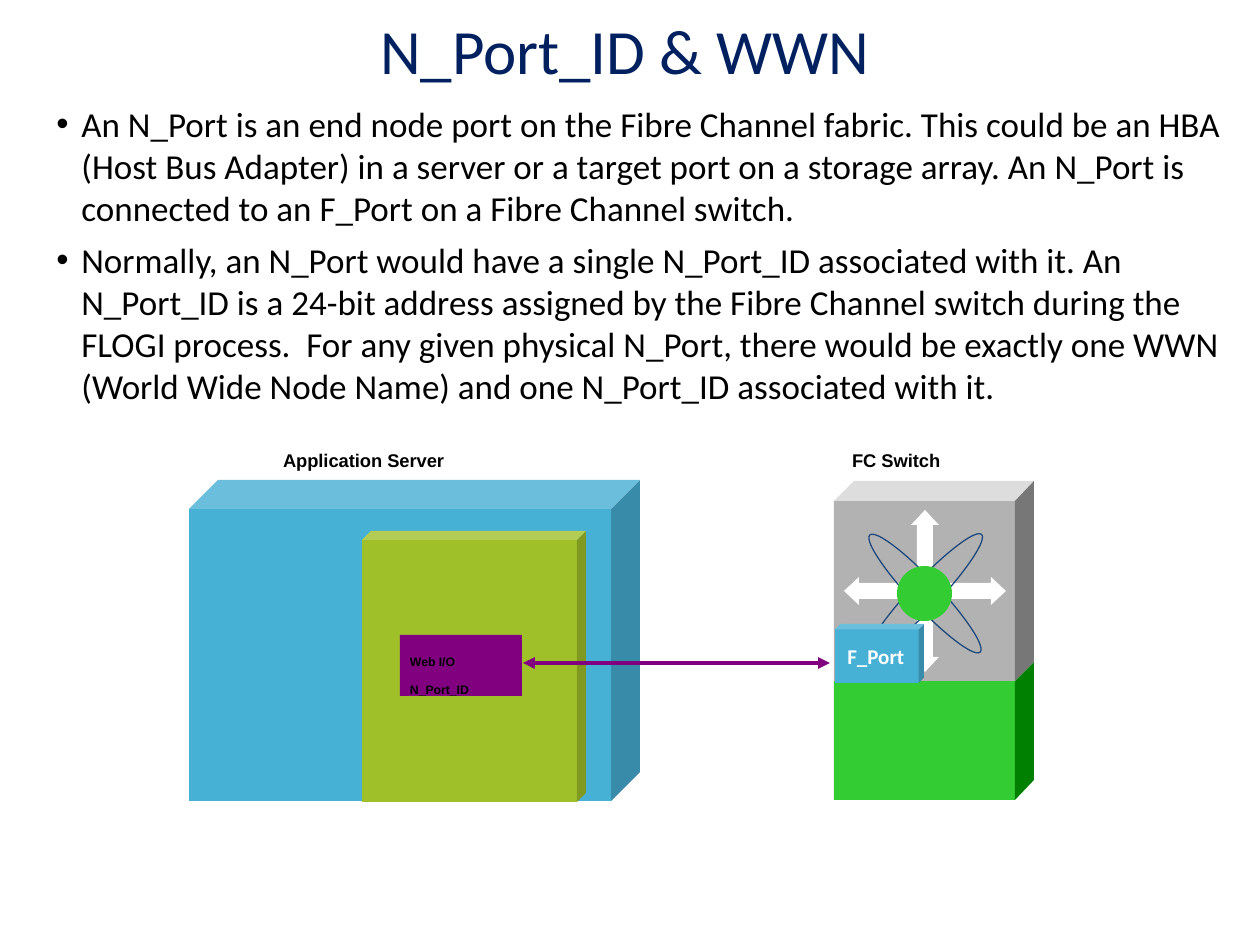
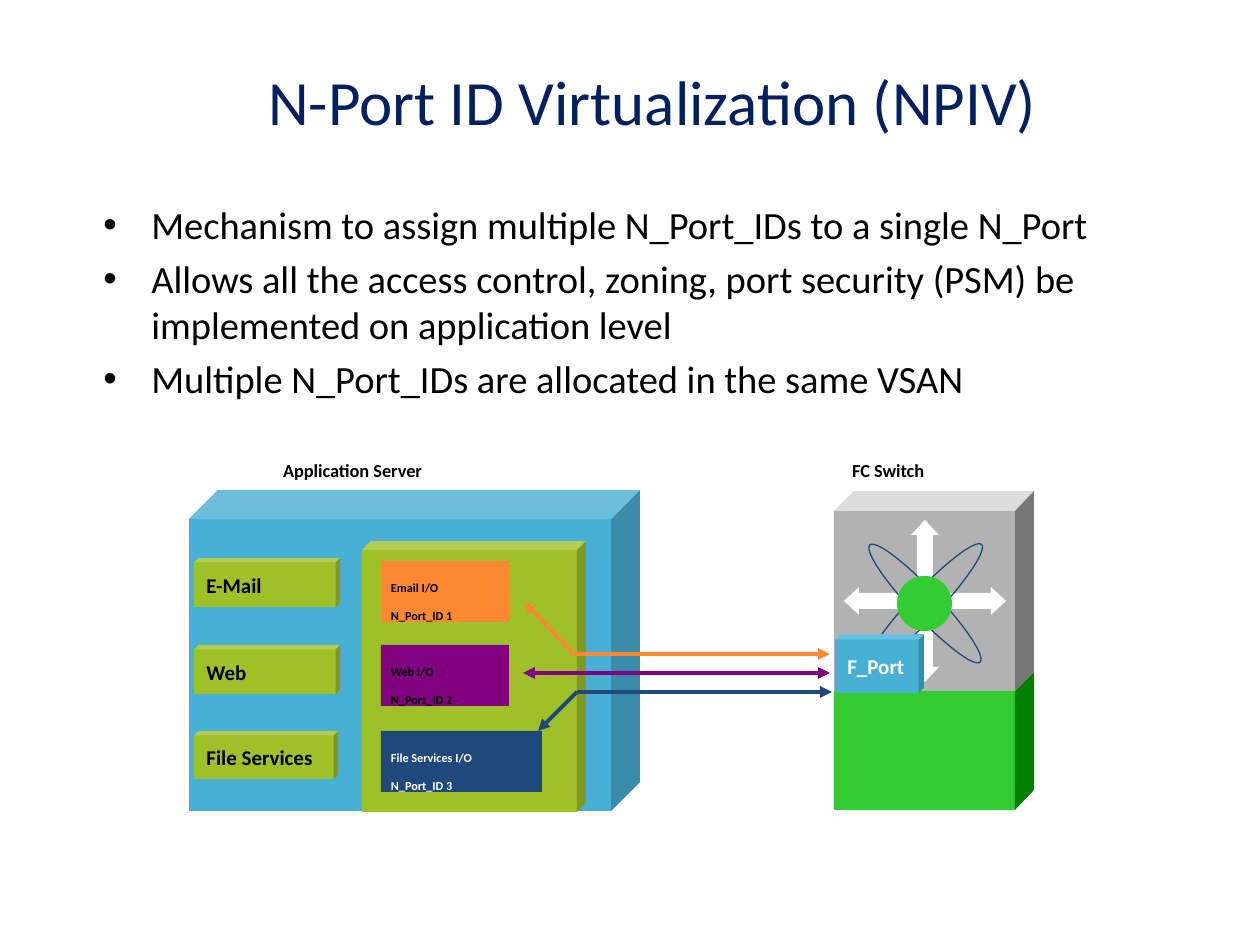
from lxml.etree import SubElement
from pptx import Presentation
from pptx.dml.color import RGBColor
from pptx.enum.shapes import MSO_CONNECTOR, MSO_SHAPE
from pptx.enum.text import MSO_ANCHOR as ANCHOR, PP_ALIGN as ALIGN
from pptx.oxml.ns import qn
from pptx.util import Emu, Pt

PX = 914400 / 126  # EMU in one px
NAVY = RGBColor(0x00, 0x20, 0x60)
BLACK = RGBColor(0x00, 0x00, 0x00)
WHITE = RGBColor(0xFF, 0xFF, 0xFF)
SKY = RGBColor(0x47, 0xB0, 0xD5)
OLIVE = RGBColor(0xA0, 0xC0, 0x2A)
PURPLE = RGBColor(0x80, 0x00, 0x80)
ORANGE = RGBColor(0xFC, 0x89, 0x32)
BLUE = RGBColor(0x1F, 0x49, 0x7D)
GREEN = RGBColor(0x33, 0xCC, 0x33)
DARK_GREEN = RGBColor(0x00, 0x80, 0x00)
LIGHT_GREY = RGBColor(0xDD, 0xDD, 0xDD)
GREY = RGBColor(0xB2, 0xB2, 0xB2)
DARK_GREY = RGBColor(0x77, 0x77, 0x77)

# Arrow of the switch symbol: distance along and across from its centre
ARROW = [(18, 8), (66, 8), (66, 14), (81, 0), (66, -14), (66, -8), (18, -8)]
DIRECTIONS = [(-1, 0), (0, -1), (1, 0), (0, 1)]

# "drop" moves the whole diagram down; routes run tip, bend, switch
PAGES = [
    dict(
        title="N_Port_ID & WWN", title_box=(54, 6, 1142, 86),
        body_box=(44, 96, 1191, 346), size=20, indent=25, space=6,
        bullets=[
            "An N_Port is an end node port on the Fibre Channel fabric. This could be an "
            "HBA (Host Bus Adapter) in a server or a target port on a storage array. An "
            "N_Port is connected to an F_Port on a Fibre Channel switch.",
            "Normally, an N_Port would have a single N_Port_ID associated with it. An "
            "N_Port_ID is a 24-bit address assigned by the Fibre Channel switch during the "
            "FLOGI process.  For any given physical N_Port, there would be exactly one WWN "
            "(World Wide Node Name) and one N_Port_ID associated with it.",
        ],
        drop=0, font="Arial", apps=[],
        ports=[((400, 635, 122, 61), PURPLE, BLACK, ["Web I/O", "N_Port_ID"])],
        routes=[(PURPLE, (523, 663), (573, 663), (830, 663))],
    ),
    dict(
        title="N-Port ID Virtualization (NPIV)", title_box=(91, 42, 1123, 116),
        body_box=(91, 195, 1094, 236), size=22, indent=48, space=4.4,
        bullets=[
            "Mechanism to assign multiple N_Port_IDs to a single N_Port",
            "Allows all the access control, zoning, port security (PSM) be implemented "
            "on application level",
            "Multiple N_Port_IDs are allocated in the same VSAN",
        ],
        drop=10, font="Calibri",
        apps=[("E-Mail", (194, 558, 146, 49)), ("Web", (194, 645, 146, 49)),
              ("File Services", (194, 731, 144, 48))],
        ports=[((381, 561, 128, 61), ORANGE, BLACK, ["Email I/O", "N_Port_ID 1"]),
               ((381, 645, 128, 61), PURPLE, BLACK, ["Web I/O", "N_Port_ID 2"]),
               ((381, 731, 161, 61), BLUE, WHITE, ["File Services I/O", "N_Port_ID 3"])],
        routes=[(ORANGE, (524, 602), (574, 654), (830, 654)),
                (PURPLE, (523, 673), (573, 673), (830, 673)),
                (BLUE, (538, 731), (577, 692), (832, 692))],
    ),
]


def add_block(page, kind, box, fill=None, depth=None):
    """Add a flat preset shape; depth is the share of a cube taken by its sides."""
    block = page.shapes.add_shape(kind, *[Emu(round(v * PX)) for v in box])
    block.shadow.inherit = False
    block.line.fill.background()
    if fill is None:
        block.fill.background()
    else:
        block.fill.solid()
        block.fill.fore_color.rgb = fill
    if depth:
        block.adjustments[0] = depth
    return block


def write(shape, lines, size, color=BLACK, font="Calibri", bold=False,
          align=ALIGN.LEFT, anchor=ANCHOR.MIDDLE, wrap=False):
    """Fill a shape with one paragraph a line and return its text frame."""
    frame = shape.text_frame
    frame.text = "\n".join(lines)
    frame.word_wrap = wrap
    frame.vertical_anchor = anchor
    for para in frame.paragraphs:
        para.alignment = align
        for span in para.runs:
            span.font.size = Pt(size)
            span.font.name = font
            span.font.bold = bold
            span.font.color.rgb = color
    return frame


deck = Presentation()
deck.slide_width, deck.slide_height = Emu(round(1260 * PX)), Emu(round(945 * PX))

for content in PAGES:
    page = deck.slides.add_slide(deck.slide_layouts[6])
    drop = content["drop"]

    # Title and bullets
    title = page.shapes.add_textbox(*[Emu(round(v * PX)) for v in content["title_box"]])
    write(title, [content["title"]], 36, NAVY, align=ALIGN.CENTER, wrap=True)
    body = page.shapes.add_textbox(*[Emu(round(v * PX)) for v in content["body_box"]])
    frame = write(body, content["bullets"], content["size"], anchor=ANCHOR.TOP, wrap=True)
    indent = round(content["indent"] * PX)
    for para in frame.paragraphs:
        para.space_before = Pt(content["space"])
        props = para._p.get_or_add_pPr()
        props.set("marL", str(indent))
        props.set("indent", str(-indent))
        SubElement(props, qn("a:buFont"), typeface="Arial")
        SubElement(props, qn("a:buChar"), char="•")

    # Captions
    for caption, left, width in [("Application Server", 273, 299), ("FC Switch", 842, 173)]:
        label = add_block(page, MSO_SHAPE.RECTANGLE, (left, 423 + drop, width, 48))
        frame = write(label, [caption], 10.5, font=content["font"], bold=True,
                      anchor=ANCHOR.BOTTOM)
        frame.margin_left = Emu(round(10 * PX))
        frame.margin_bottom = 0

    # Server with its applications, adapter card and virtual ports
    add_block(page, MSO_SHAPE.CUBE, (189, 480 + drop, 451, 321), SKY, 0.09)
    for name, box in content["apps"]:
        write(add_block(page, MSO_SHAPE.CUBE, box, OLIVE, 0.09), [name], 12, bold=True)
    add_block(page, MSO_SHAPE.CUBE, (362, 531 + drop, 224, 271), OLIVE, 0.04)
    for box, fill, color, lines in content["ports"]:
        port = add_block(page, MSO_SHAPE.RECTANGLE, box, fill)
        frame = write(port, lines, 7, color, content["font"], True, anchor=ANCHOR.TOP)
        frame.margin_left = Emu(round(10 * PX))
        frame.margin_top = Emu(round(6 * PX))
        for para in frame.paragraphs:
            para.line_spacing = Pt(16)

    # Routes from port to switch, with an arrowhead at each outer end
    for color, tip, bend, end in content["routes"]:
        for start, stop, head in [(tip, bend, "a:headEnd"), (bend, end, "a:tailEnd")]:
            link = page.shapes.add_connector(
                MSO_CONNECTOR.STRAIGHT, *[Emu(round(v * PX)) for v in start + stop])
            link.line.color.rgb = color
            link.line.width = Pt(2.25)
            SubElement(link.line._get_or_add_ln(), qn(head), type="triangle")
            SubElement(link._element.spPr, qn("a:effectLst"))

    # Switch body and its four arrows
    add_block(page, MSO_SHAPE.RECTANGLE, (834, 681 + drop, 181, 119), GREEN)
    add_block(page, MSO_SHAPE.RECTANGLE, (834, 501 + drop, 181, 180), GREY)
    outlines = [
        (DARK_GREEN, [(1034, 662), (1034, 780), (1015, 800), (1015, 681)]),
        (LIGHT_GREY, [(834, 501), (1015, 501), (1034, 481), (854, 481)]),
        (DARK_GREY, [(1034, 481), (1034, 662), (1015, 681), (1015, 501)]),
    ]
    for dx, dy in DIRECTIONS:
        outlines.append((WHITE, [(925 + along * dx - across * dy, 591 + along * dy + across * dx)
                                 for along, across in ARROW]))
    for fill, points in outlines:
        points = [(x, y + drop) for x, y in points]
        builder = page.shapes.build_freeform(*points[0], scale=PX)
        builder.add_line_segments(points[1:], close=True)
        face = builder.convert_to_shape()
        face.shadow.inherit = False
        face.fill.solid()
        face.fill.fore_color.rgb = fill
        face.line.fill.background()

    # Orbits, core and fabric port
    for top, height, angle in [(513, 161, -43.3), (512, 165, 43.3)]:
        orbit = add_block(page, MSO_SHAPE.OVAL, (911, top + drop, 28, height))
        orbit.rotation = angle
        orbit.line.color.rgb = BLUE
        orbit.line.width = Pt(0.75)
    add_block(page, MSO_SHAPE.OVAL, (897, 566 + drop, 55, 55), GREEN)
    fabric_port = add_block(page, MSO_SHAPE.CUBE, (835, 624 + drop, 89, 59), SKY, 0.09)
    write(fabric_port, ["F_Port"], 12, WHITE, bold=True)

deck.save("out.pptx")
